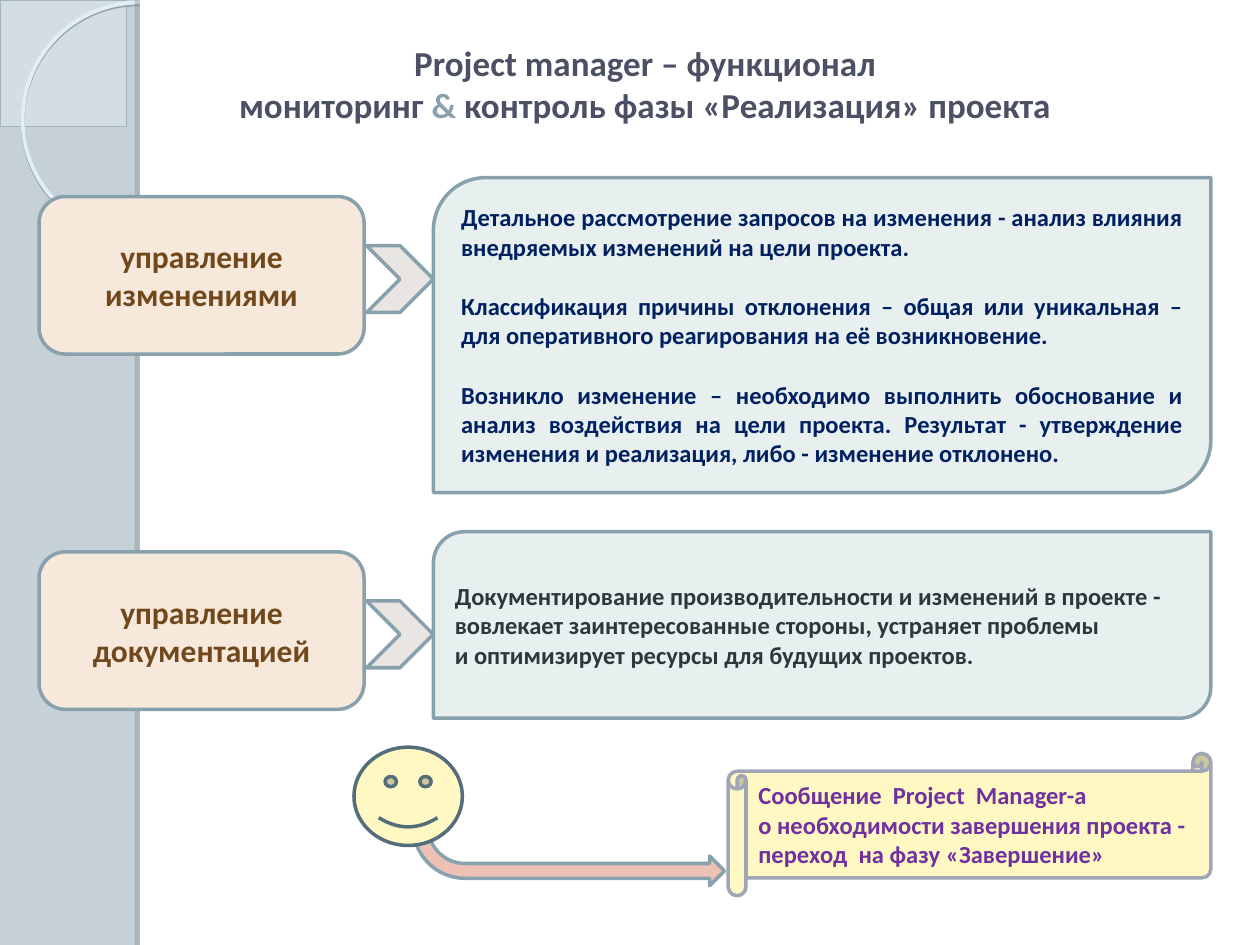
from math import cos, pi, sin

from lxml.etree import SubElement
from pptx import Presentation
from pptx.dml.color import RGBColor
from pptx.enum.shapes import MSO_SHAPE
from pptx.enum.text import MSO_ANCHOR, PP_ALIGN
from pptx.oxml.ns import qn
from pptx.util import Inches, Pt

# Content
TITLE = [
    [("Project manager – функционал", "title")],
    [("мониторинг ", "title"), ("&", "line"),
     (" контроль фазы «Реализация» проекта", "title")],
]
TOPICS = [
    {
        "label": "управление изменениями",
        "color": "navy", "gap": 17, "panel": (1.41, 2.5),
        "text": [
            "Детальное рассмотрение запросов на изменения - анализ влияния "
            "внедряемых изменений на цели проекта.",
            "Классификация причины отклонения – общая или уникальная – "
            "для оперативного реагирования на её возникновение.",
            "Возникло изменение – необходимо выполнить обоснование и анализ "
            "воздействия на цели проекта. Результат - утверждение изменения "
            "и реализация, либо - изменение отклонено.",
        ],
    },
    {
        "label": "управление документацией",
        "color": "dark", "gap": 0, "panel": (4.22, 1.48),
        "text": [
            "Документирование производительности и изменений в проекте -",
            "вовлекает заинтересованные стороны, устраняет проблемы",
            "и оптимизирует ресурсы для будущих проектов.",
        ],
    },
]
MESSAGE = [
    "Сообщение  Project  Manager-а",
    "о необходимости завершения проекта - переход  на фазу «Завершение»",
]

THEME = {
    "font": "Calibri",
    "sizes": {"title": 20, "label": 18, "body": 14},
    "colors": {
        "back": "C5D1D7", "page": "FFFFFF", "corner": "F4F8FA",
        "corner_line": "A0B5BF", "ring": "E0EEF6", "line": "88A1AD",
        "title": "4B5064", "label": "F6E9DB", "label_text": "71481C",
        "panel": "E8EFEF", "chevron": "E8E5E2", "navy": "002060",
        "dark": "2A373D", "paper": "FFF8C2", "paper_line": "A0A5B8",
        "message": "7030A0", "arrow": "EDC1B6", "face_line": "546D7A",
        "ring_shadow": "8D9AA1", "edge_shadow": "5D6468",
    },
}

# Grid, in inches: columns are (left, width)
WIDTH, HEIGHT = 10, 7.5
PAGE_LEFT = 1.11
LABEL_COL, CHEVRON_COL, PANEL_COL = (0.31, 2.58), (2.91, 0.53), (3.44, 6.17)
LABEL_HEIGHT = 1.25
FIRST_ROW, ROW_STEP = 1.56, 2.82
CORNER_RADIUS = 0.9


def rgb(name):
    return RGBColor.from_string(THEME["colors"][name])


def paint(s, fill=None, line=None, weight=2):
    s.shadow.inherit = False
    if fill:
        s.fill.solid()
        s.fill.fore_color.rgb = rgb(fill)
    else:
        s.fill.background()
    if line:
        s.line.color.rgb = rgb(line)
        s.line.width = Pt(weight)
    else:
        s.line.fill.background()
    return s


def add_box(shapes, kind, box, fill=None, line=None, weight=2, adj=()):
    s = shapes.add_shape(kind, *map(Inches, box))
    for i, value in enumerate(adj):
        s.adjustments[i] = value
    return paint(s, fill, line, weight)


def add_alpha(color, percent):
    SubElement(color, qn("a:alpha"), val=str(percent * 1000))


def add_shadow(s, color, percent, distance, angle):
    effects = s._element.spPr.find(qn("a:effectLst"))
    shadow = SubElement(effects, qn("a:outerShdw"), blurRad="0",
                        dist=str(Pt(distance)), dir=str(angle * 60000),
                        algn="ctr", rotWithShape="0")
    add_alpha(SubElement(shadow, qn("a:srgbClr"),
                         val=THEME["colors"][color]), percent)


def write(s, paragraphs, size, align, gap=0):
    """Each paragraph is a list of (text, color name) runs."""
    tf = s.text_frame
    tf.word_wrap = True
    tf.vertical_anchor = MSO_ANCHOR.MIDDLE
    font = {"name": THEME["font"], "size": Pt(THEME["sizes"][size]), "bold": True}
    for i, runs in enumerate(paragraphs):
        p = tf.add_paragraph() if i else tf.paragraphs[0]
        p.alignment = align
        p.space_before = Pt(gap if i else 0)
        for text, color in runs:
            r = p.add_run()
            r.text = text
            for name, value in font.items():
                setattr(r.font, name, value)
            r.font.color.rgb = rgb(color)


def plain(lines, color):
    return [[(line, color)] for line in lines]


def add_backdrop(slide):
    shapes = slide.shapes
    slide.background.fill.solid()
    slide.background.fill.fore_color.rgb = rgb("back")

    # Quarter circle in the corner
    steps = 48
    arc = [(CORNER_RADIUS * cos(pi / 2 * i / steps),
            CORNER_RADIUS * sin(pi / 2 * i / steps)) for i in range(steps + 1)]
    builder = shapes.build_freeform(0, 0, scale=Inches(1))
    builder.add_line_segments(arc, close=True)
    corner = paint(builder.convert_to_shape(), "corner", "corner_line", 0.25)
    add_alpha(corner._element.spPr.find(qn("a:solidFill"))[0], 33)

    # Ring, white page and its shaded edge
    ring = add_box(shapes, MSO_SHAPE.OVAL, (0.18, 0.02, 1.86, 1.86),
                   line="ring", weight=2.15)
    add_shadow(ring, "ring_shadow", 85, 1, 90)
    add_box(shapes, MSO_SHAPE.RECTANGLE,
            (PAGE_LEFT, 0, WIDTH - PAGE_LEFT, HEIGHT), "page")
    edge = add_box(shapes, MSO_SHAPE.RECTANGLE, (PAGE_LEFT, 0, 0.08, HEIGHT), "page")
    add_shadow(edge, "edge_shadow", 25, 3, 180)


def add_topic(shapes, row, topic):
    top = FIRST_ROW + row * ROW_STEP
    label = add_box(shapes, MSO_SHAPE.ROUNDED_RECTANGLE,
                    (LABEL_COL[0], top, LABEL_COL[1], LABEL_HEIGHT),
                    "label", "line")
    write(label, plain([topic["label"]], "label_text"), "label", PP_ALIGN.CENTER)

    panel_top, panel_height = topic["panel"]
    panel = add_box(shapes, MSO_SHAPE.ROUND_2_DIAG_RECTANGLE,
                    (PANEL_COL[0], panel_top, PANEL_COL[1], panel_height),
                    "panel", "line")
    write(panel, plain(topic["text"], topic["color"]), "body",
          PP_ALIGN.JUSTIFY, topic["gap"])

    left, side = CHEVRON_COL
    add_box(shapes, MSO_SHAPE.CHEVRON, (left, top + 0.39, side, side),
            "chevron", "line")


def add_message(shapes):
    scroll = add_box(shapes, MSO_SHAPE.HORIZONTAL_SCROLL,
                     (5.78, 5.98, 3.83, 1.13), "paper", "paper_line")
    write(scroll, plain(MESSAGE, "message"), "body", PP_ALIGN.LEFT)
    arrow = add_box(shapes, MSO_SHAPE.BENT_ARROW, (3.28, 6.56, 2.47, 0.47),
                    "arrow", "line", adj=(0.25, 0.25, 0.25, 0.88))
    arrow._element.spPr.xfrm.set("flipV", "1")
    add_box(shapes, MSO_SHAPE.SMILEY_FACE, (2.81, 5.93, 0.86, 0.78),
            "paper", "face_line", adj=(0.05,))


def main():
    prs = Presentation()
    prs.slide_width, prs.slide_height = Inches(WIDTH), Inches(HEIGHT)
    slide = prs.slides.add_slide(prs.slide_layouts[6])
    add_backdrop(slide)
    title = slide.shapes.add_textbox(*map(Inches, (0.63, 0.31, 8.98, 0.7)))
    write(title, TITLE, "title", PP_ALIGN.CENTER)
    for row, topic in enumerate(TOPICS):
        add_topic(slide.shapes, row, topic)
    add_message(slide.shapes)
    prs.save("out.pptx")


if __name__ == "__main__":
    main()
